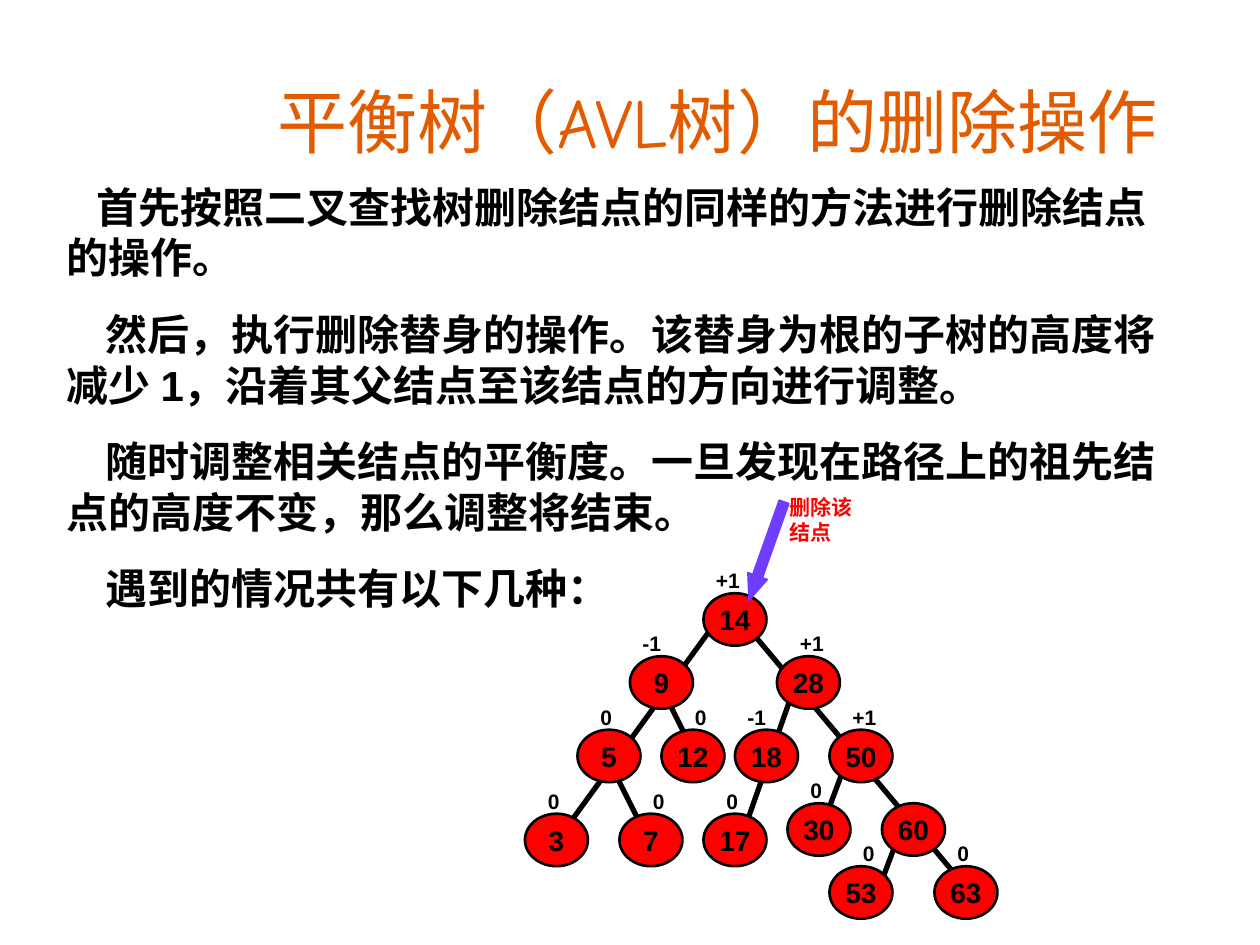
from dataclasses import dataclass

from lxml.etree import SubElement
from pptx import Presentation
from pptx.dml.color import RGBColor
from pptx.enum.shapes import MSO_CONNECTOR, MSO_SHAPE
from pptx.enum.text import MSO_ANCHOR, MSO_AUTO_SIZE, PP_ALIGN
from pptx.oxml.ns import qn
from pptx.util import Pt


@dataclass(frozen=True)
class Theme:
    black: RGBColor = RGBColor(0, 0, 0)
    red: RGBColor = RGBColor(0xFF, 0, 0)
    orange: RGBColor = RGBColor(0xE2, 0x5B, 0)
    violet: RGBColor = RGBColor(0x70, 0x3D, 0xFF)
    title_font: str = "Comic Neue"
    font: str = "Arial"
    title_size: int = 40
    body_size: int = 24
    key_size: int = 16
    label_size: int = 12


theme = Theme()
PX = 7620  # 120 px to the inch

deck = Presentation()
deck.slide_width, deck.slide_height = 1200 * PX, 900 * PX
slide = deck.slides.add_slide(deck.slide_layouts[6])


def write(frame, *paragraphs, size, color=theme.black, font=theme.font, bold=True,
          align=PP_ALIGN.LEFT, anchor=MSO_ANCHOR.TOP, wrap=True, grow=False,
          gap=0, indents=()):
    frame.word_wrap = wrap
    frame.vertical_anchor = anchor
    frame.auto_size = MSO_AUTO_SIZE.SHAPE_TO_FIT_TEXT if grow else MSO_AUTO_SIZE.NONE
    for i, text in enumerate(paragraphs):
        paragraph = frame.add_paragraph() if i else frame.paragraphs[0]
        paragraph.alignment = align
        if i:
            paragraph.space_before = Pt(gap)
        if indents:
            properties = paragraph._p.get_or_add_pPr()
            properties.set("marL", "0")
            properties.set("indent", str(indents[i] * PX))
        run = paragraph.add_run()
        run.text = text
        run.font.size, run.font.bold, run.font.name = Pt(size), bold, font
        run.font.color.rgb = color


def box(x, y, width, height):
    return slide.shapes.add_textbox(x * PX, y * PX, width * PX, height * PX).text_frame


# Title
write(box(200, 15, 967, 200), "平衡树（AVL树）的删除操作", size=theme.title_size,
      color=theme.orange, font=theme.title_font, bold=False,
      align=PP_ALIGN.CENTER, anchor=MSO_ANCHOR.MIDDLE)

# Deletion steps
write(box(52, 167, 1080, 424),
      "首先按照二叉查找树删除结点的同样的方法进行删除结点的操作。",
      "然后，执行删除替身的操作。该替身为根的子树的高度将减少 1，沿着其父结点至该结点的方向进行调整。",
      "随时调整相关结点的平衡度。一旦发现在路径上的祖先结点的高度不变，那么调整将结束。",
      "遇到的情况共有以下几种：",
      size=theme.body_size, grow=True, gap=15, indents=(28, 37, 37, 37))

# Tree branches: start and end of each line
branches = [
    (810, 715, 780, 795), (860, 785, 830, 865), (630, 655, 670, 735),
    (580, 725, 620, 805), (760, 645, 700, 815), (710, 595, 920, 845),
    (680, 595, 520, 815),
]
for ends in branches:
    branch = slide.shapes.add_connector(MSO_CONNECTOR.STRAIGHT, *(v * PX for v in ends))
    branch.line.color.rgb = theme.black
    branch.line.width = Pt(3)
    SubElement(branch._element.spPr, qn("a:effectLst"))

# Tree nodes: key, left, top, balance factor, shift of its label
nodes = [
    (14, 670, 565, "+1", 0),
    (9, 600, 625, "-1", 0), (28, 740, 625, "+1", 10),
    (5, 550, 695, "0", 10), (12, 630, 695, "0", 20),
    (18, 700, 695, "-1", 0), (50, 790, 695, "+1", 10),
    (3, 500, 775, "0", 10), (7, 590, 775, "0", 20), (17, 670, 775, "0", 10),
    (30, 750, 765, "0", 10), (60, 840, 765, None, 0),
    (53, 790, 825, "0", 20), (63, 890, 825, "0", 10),
]
for key, x, y, _, _ in nodes:
    node = slide.shapes.add_shape(MSO_SHAPE.OVAL, x * PX, y * PX, 60 * PX, 50 * PX)
    node.shadow.inherit = False
    node.fill.solid()
    node.fill.fore_color.rgb = theme.red
    node.line.color.rgb = theme.black
    node.line.width = Pt(1.5)
    write(node.text_frame, str(key), size=theme.key_size, align=PP_ALIGN.CENTER,
          anchor=MSO_ANCHOR.MIDDLE, wrap=False)

# Balance factors, 30 px above their nodes
for _, x, y, balance, shift in nodes:
    if balance:
        write(box(x + shift, y - 30, 50, 36), balance, size=theme.label_size, grow=True)

# Pointer to the node being deleted
pointer = slide.shapes.add_shape(MSO_SHAPE.DOWN_ARROW, 720 * PX, 475 * PX, 20 * PX, 100 * PX)
pointer.adjustments[0], pointer.adjustments[1] = 0.5, 1.25
pointer.rotation = 19.6
pointer.shadow.inherit = False
pointer.fill.solid()
pointer.fill.fore_color.rgb = theme.violet
pointer.line.color.rgb = theme.violet
pointer.line.width = Pt(0.75)
write(box(740, 465, 100, 60), "删除该结点", size=theme.label_size, color=theme.red, grow=True)

deck.save("out.pptx")
